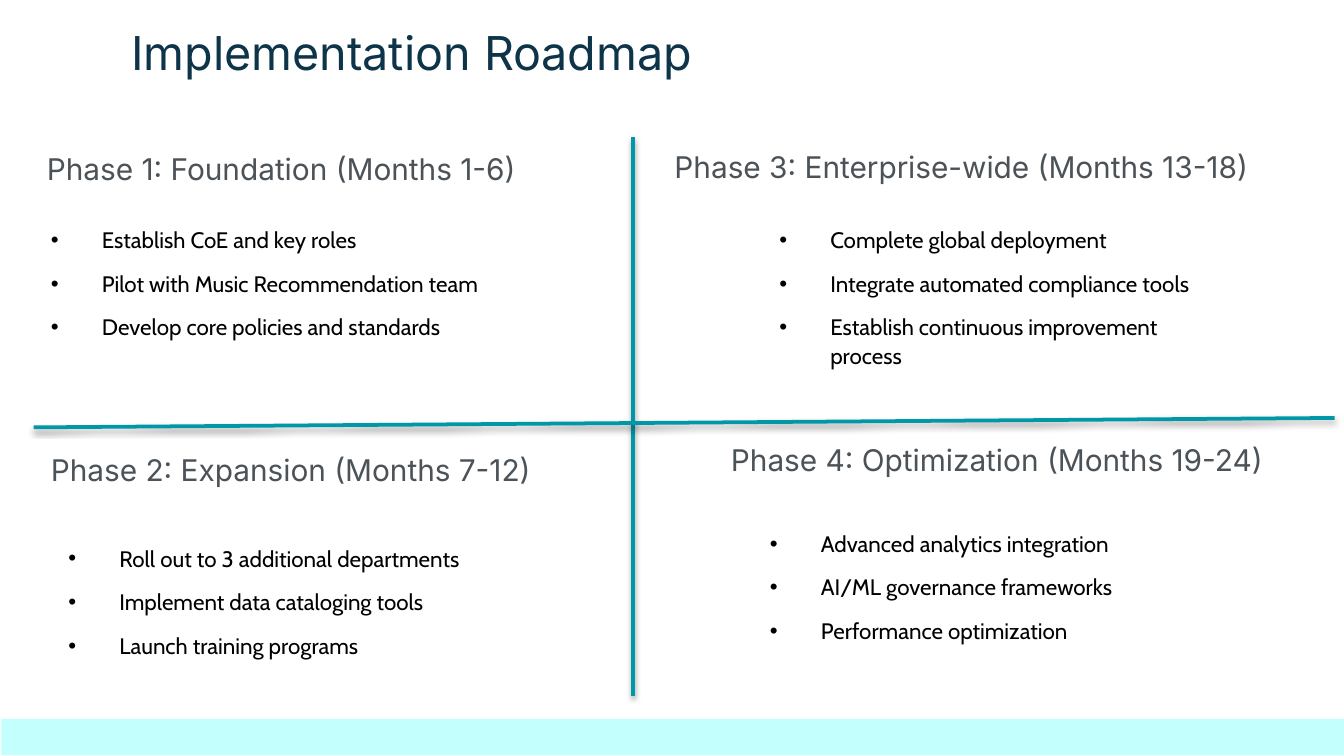
from lxml import etree
from pptx import Presentation
from pptx.dml.color import RGBColor
from pptx.enum.shapes import MSO_CONNECTOR, MSO_SHAPE
from pptx.enum.text import MSO_ANCHOR
from pptx.oxml import parse_xml
from pptx.oxml.ns import nsdecls, qn
from pptx.util import Inches, Pt

LINE = MSO_CONNECTOR.STRAIGHT
RECT = MSO_SHAPE.RECTANGLE
TOP = MSO_ANCHOR.TOP
NAVY = RGBColor(0x0E, 0x34, 0x49)
GRAY = RGBColor(0x4B, 0x52, 0x58)
BLACK = RGBColor(0, 0, 0)
TEAL = RGBColor(0x00, 0x97, 0xA7)
MINT = RGBColor(0xC3, 0xFF, 0xFC)

PAD = Inches(0.1)
FRAME = {"word_wrap": True, "vertical_anchor": TOP, "margin_left": PAD,
         "margin_right": PAD, "margin_top": PAD, "margin_bottom": PAD}
TITLE = {"name": "Inter", "size": Pt(25)}
HEAD = {"name": "Inter", "size": Pt(16)}
BODY = {"name": "Cabin", "size": Pt(12)}
SPACE = {"line_spacing": 1.07, "space_after": Pt(8)}
INDENT = Inches(0.38)

PHASES = [
    ("Phase 1: Foundation (Months 1-6)", (0.25, 1.02, 4.22, 0.47),
     (0.28, 1.57, 3.58, 1.54),
     ["Establish CoE and key roles", "Pilot with Music Recommendation team",
      "Develop core policies and standards"]),
    ("Phase 2: Expansion (Months 7-12)", (0.28, 3.26, 4.22, 0.47),
     (0.41, 3.94, 3.37, 1.25),
     ["Roll out to 3 additional departments", "Implement data cataloging tools",
      "Launch training programs"]),
    ("Phase 3: Enterprise-wide (Months 13-18)", (4.92, 1.01, 4.91, 0.47),
     (5.7, 1.57, 3.4, 1.39),
     ["Complete global deployment", "Integrate automated compliance tools",
      "Establish continuous improvement process"]),
    ("Phase 4: Optimization (Months 19-24)", (5.34, 3.19, 4.22, 0.47),
     (5.63, 3.83, 3.46, 1.16),
     ["Advanced analytics integration", "AI/ML governance frameworks",
      "Performance optimization"]),
]
AXES = [(4.71, 1.02, 4.71, 5.18), (0.25, 3.18, 9.93, 3.11)]
SHADOW = (
    f'<a:effectLst {nsdecls("a")}>'
    '<a:outerShdw blurRad="40000" dist="20000" dir="5400000" rotWithShape="0">'
    '<a:srgbClr val="000000"><a:alpha val="38000"/></a:srgbClr>'
    '</a:outerShdw></a:effectLst>'
)

deck = Presentation()
deck.slide_width = Inches(10)
deck.slide_height = Inches(10) * 9 // 16
slide = deck.slides.add_slide(deck.slide_layouts[6])


def add_text(box, lines, font, color):
    frame = slide.shapes.add_textbox(*map(Inches, box)).text_frame
    for key, value in FRAME.items():
        setattr(frame, key, value)
    frame.text = "\n".join(lines)
    for para in frame.paragraphs:
        face = para.runs[0].font
        for key, value in font.items():
            setattr(face, key, value)
        face.color.rgb = color
    return frame


def add_bullet(para):
    for key, value in SPACE.items():
        setattr(para, key, value)
    props = para._p.get_or_add_pPr()
    props.set("marL", str(INDENT))
    props.set("indent", str(-INDENT))
    tint = etree.SubElement(props, qn("a:buClr"))
    etree.SubElement(tint, qn("a:srgbClr"), val=str(BLACK))
    etree.SubElement(props, qn("a:buFont"), typeface="Arial")
    etree.SubElement(props, qn("a:buChar"), char="•")
    tabs = etree.SubElement(props, qn("a:tabLst"))
    etree.SubElement(tabs, qn("a:tab"), pos=str(Inches(0.5)), algn="l")


band = slide.shapes.add_shape(RECT, *map(Inches, (0.01, 5.35, 10, 0.27)))
band.shadow.inherit = False
band.fill.solid()
band.fill.fore_color.rgb = MINT
band.line.fill.background()

for ends in AXES:
    axis = slide.shapes.add_connector(LINE, *map(Inches, ends))
    axis.line.color.rgb = TEAL
    axis.line.width = Pt(2)
    axis._element.spPr.append(parse_xml(SHADOW))

add_text((0.88, 0.08, 5.81, 0.58), ["Implementation Roadmap"], TITLE, NAVY)
for name, top, box, items in PHASES:
    add_text(top, [name], HEAD, GRAY)
    for para in add_text(box, items, BODY, BLACK).paragraphs:
        add_bullet(para)

deck.save("out.pptx")
